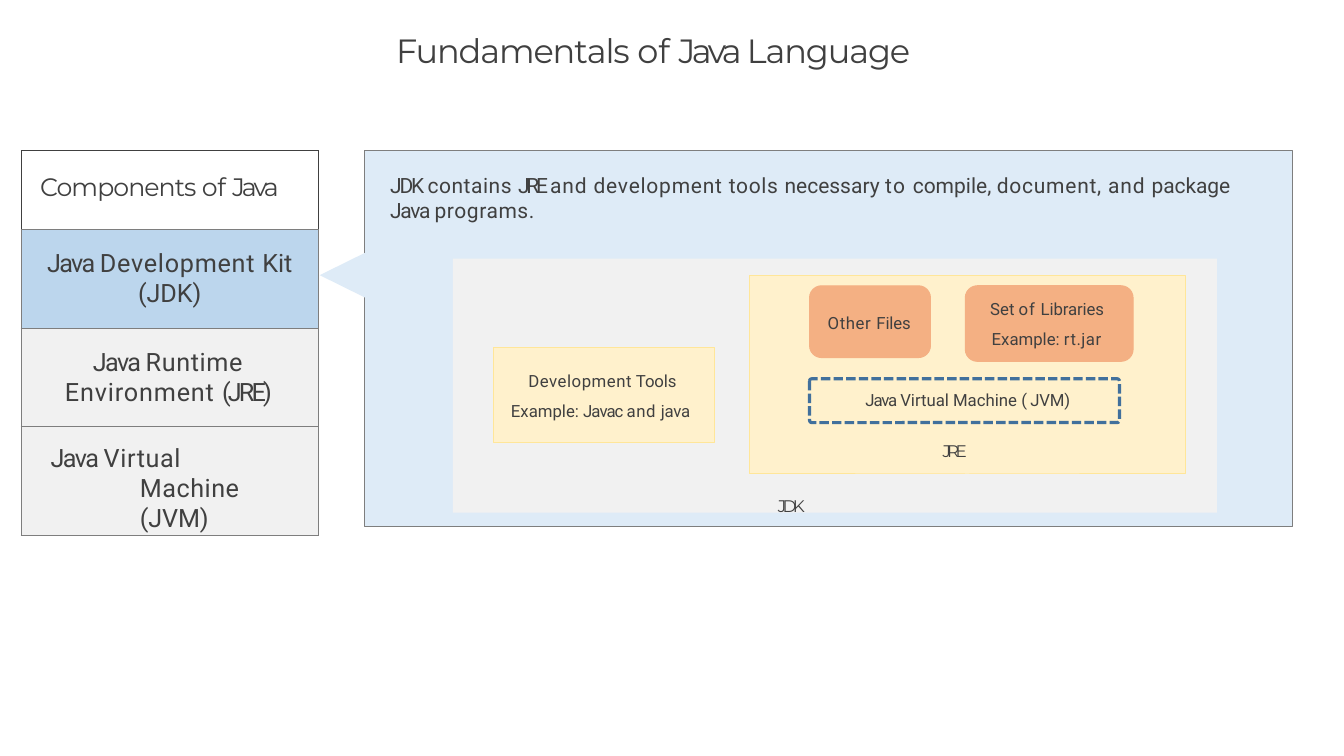
from lxml import etree
from pptx import Presentation
from pptx.dml.color import RGBColor
from pptx.enum.dml import MSO_LINE
from pptx.enum.shapes import MSO_SHAPE as Preset
from pptx.enum.text import MSO_ANCHOR as Anchor, PP_ALIGN as Align
from pptx.oxml.ns import qn
from pptx.util import Inches, Pt

INK = RGBColor(0x40, 0x40, 0x40)
GREY = RGBColor(0x7E, 0x7E, 0x7E)
PALE_GREY = RGBColor(0xF1, 0xF1, 0xF1)
PALE_BLUE = RGBColor(0xDE, 0xEB, 0xF7)
SKY = RGBColor(0xBC, 0xD6, 0xED)
STEEL = RGBColor(0x41, 0x70, 0x9C)
CREAM = RGBColor(0xFF, 0xF1, 0xCC)
YELLOW = RGBColor(0xFF, 0xE6, 0x99)
ORANGE = RGBColor(0xF4, 0xB0, 0x83)

# Table rows: height, top margin, right margin, fill, font, paragraphs
COMPONENTS = [
    (1.05, 0.29, 0, None, "Montserrat",
     [dict(spans=[("Components ", -0.9), ("of ", -0.3), ("Java", -2.8)], left=0.25)]),
    (1.3, 0.24, 0, SKY, "Roboto",
     [dict(spans=[("Java ", -1.6), ("Development ", 0.7), ("Kit", -0.2)],
           align=Align.CENTER, spacing=Pt(28.8)),
      dict(spans=[("(JDK)", -0.1)], align=Align.CENTER, spacing=Pt(28.8))]),
    (1.3, 0.26, 0, PALE_GREY, "Roboto",
     [dict(spans=[("Java ", -1.6), ("Runtime ", 0.6), ("Environment ", 0.8), ("(JRE)", -2.7)],
           left=0.58, first=0.37, spacing=Pt(28.7))]),
    (1.32, 0.24, 0.4, PALE_GREY, "Roboto",
     [dict(spans=[("Java ", -1.5), ("Virtual ", 0.6), ("Machine ", 0.5), ("(JVM)", -0.1)],
           left=1.57, first=-1.18)]),
]


def write_para(para, spans, size, font, left=0, first=0, align=Align.LEFT, spacing=None):
    """Fill a paragraph with (text, letter spacing in points) spans."""
    para.alignment = align
    if spacing:
        para.line_spacing = spacing
    properties = para._p.get_or_add_pPr()
    properties.set("marL", str(Inches(left)))
    properties.set("indent", str(Inches(first)))
    for text, tracking in spans:
        span = para.add_run()
        span.text = text
        span.font.size = Pt(size)
        span.font.name = font
        span.font.color.rgb = INK
        span.font._element.set("spc", str(round(tracking * 100)))


def set_margins(target, top, right=0):
    target.margin_left = target.margin_bottom = 0
    target.margin_top, target.margin_right = Inches(top), Inches(right)


def add_text(page, place, spans, size=16, font="Roboto", **layout):
    box = page.shapes.add_textbox(*map(Inches, place))
    frame = box.text_frame
    frame.word_wrap = True
    set_margins(frame, 0.01)
    write_para(frame.paragraphs[0], spans, size, font, **layout)


def paint(shape, fill=None, line=None, width=0.96):
    shape.shadow.inherit = False
    if fill is None:
        shape.fill.background()
    else:
        shape.fill.solid()
        shape.fill.fore_color.rgb = fill
    if line is None:
        shape.line.fill.background()
    else:
        shape.line.color.rgb = line
        shape.line.width = Pt(width)


def add_panel(page, place, fill=None, line=None, width=0.96, radius=None):
    """Add a rectangle, rounded when a corner radius is given in inches."""
    preset = Preset.RECTANGLE if radius is None else Preset.ROUNDED_RECTANGLE
    shape = page.shapes.add_shape(preset, *map(Inches, place))
    if radius is not None:
        shape.adjustments[0] = radius / min(place[2:])
    paint(shape, fill, line, width)
    return shape


def add_pointer(page):
    builder = page.shapes.build_freeform(Inches(5.06), Inches(3.23))
    builder.add_line_segments(
        [(Inches(4.23), Inches(3.64)), (Inches(5.06), Inches(4.05))], close=True)
    paint(builder.convert_to_shape(), PALE_BLUE)


def add_borders(cell, sides):
    """Put (side, colour, width) lines ahead of the fill in the cell."""
    properties = cell._tc.get_or_add_tcPr()
    for index, (side, color, width) in enumerate(sides):
        line = etree.Element(qn(f"a:ln{side}"), w=str(Pt(width)))
        solid = etree.SubElement(line, qn("a:solidFill"))
        etree.SubElement(solid, qn("a:srgbClr"), val=str(color))
        properties.insert(index, line)


def add_components_table(page):
    heights = [row[0] for row in COMPONENTS]
    table = page.shapes.add_table(
        len(COMPONENTS), 1, Inches(0.28), Inches(1.99), Inches(3.93),
        Inches(sum(heights))).table
    table.first_row = table.horz_banding = False
    for index, (height, top, right, fill, font, paras) in enumerate(COMPONENTS):
        table.rows[index].height = Inches(height)
        cell = table.cell(index, 0)
        set_margins(cell, top, right)
        cell.vertical_anchor = Anchor.TOP
        if fill is None:
            cell.fill.background()
        else:
            cell.fill.solid()
            cell.fill.fore_color.rgb = fill
        outer = (INK, 0.75) if index == 0 else (GREY, 1)
        add_borders(cell, [("L", *outer), ("R", *outer),
                           ("T", *outer), ("B", GREY, 1)])
        frame = cell.text_frame
        for number, content in enumerate(paras):
            para = frame.add_paragraph() if number else frame.paragraphs[0]
            write_para(para, size=24, font=font, **content)


def add_jdk_panel(page):
    # Blue panel and its description
    add_panel(page, (4.82, 1.99, 12.28, 4.98), PALE_BLUE, GREY)
    add_text(page, (5.15, 2.27, 11.21, 0.7), [
        ("JDK ", -2), ("contains ", 0.5), ("JRE ", -3.1), ("and ", 0.8),
        ("development ", 0.7), ("tools ", 0.6), ("necessary ", 0), ("to ", 1.2),
        ("compile, ", 0), ("document, ", 0.7), ("and ", 0.8), ("package ", -0.1),
        ("Java ", -1.2), ("programs.", 0.5)], size=20, left=0.01)

    # JDK area with the development tools
    add_panel(page, (5.99, 3.42, 10.11, 3.36), PALE_GREY)
    tools = add_panel(page, (6.53, 4.6, 2.92, 1.26), CREAM, YELLOW)
    frame = tools.text_frame
    frame.word_wrap = True
    frame.vertical_anchor = Anchor.TOP
    set_margins(frame, 0.17)
    write_para(frame.paragraphs[0], [
        ("Development", 0.5), (" Tools ", -0.1), ("Example: ", 0), ("Javac ", -0.9),
        ("and ", 0.5), ("java", -0.2)], 16, "Roboto", left=0.23, first=0.23, spacing=1.5)

    # JRE area with files, libraries and virtual machine
    add_panel(page, (9.91, 3.65, 5.77, 2.62), CREAM, YELLOW)
    add_panel(page, (10.71, 3.78, 1.6, 0.95), ORANGE, ORANGE, radius=0.16)
    add_text(page, (10.95, 4.12, 1.13, 0.29), [("Other ", 0.6), ("Files", -0.1)])
    add_panel(page, (12.77, 3.78, 2.22, 1), ORANGE, ORANGE, radius=0.16)
    add_text(page, (13.1, 3.81, 1.56, 0.83), [
        ("Set ", 0), ("of ", 0.8), ("Libraries ", -0.1), ("Example: ", 0),
        ("rt.jar", 0.5)], left=0.02, first=-0.02, spacing=1.5)
    machine = add_panel(page, (10.71, 5.01, 4.1, 0.58), None, STEEL, 3, radius=0.03)
    machine.line.dash_style = MSO_LINE.SQUARE_DOT
    add_text(page, (10.74, 5.14, 4.04, 0.29), [
        ("Java ", -1.1), ("Virtual Machine ", 0), ("( ", -0.8), ("JVM)", -0.2)], left=0.71)

    # Area names
    add_text(page, (12.47, 5.82, 0.36, 0.29), [("JRE", -3.6)], font="Montserrat")
    add_text(page, (10.29, 6.55, 0.4, 0.29), [("JDK", -3.4)], font="Montserrat")


def main():
    deck = Presentation()
    deck.slide_width, deck.slide_height = Inches(17.78), Inches(10)
    page = deck.slides.add_slide(deck.slide_layouts[6])
    add_text(page, (3.87, 0.38, 10.04, 0.65), [
        ("Fundamentals ", -1.1), ("of ", -0.1), ("Java ", -3.4), ("Language", -1.1)],
        size=32, font="Montserrat", left=1.37)
    add_jdk_panel(page)
    add_pointer(page)
    add_components_table(page)
    deck.save("out.pptx")


if __name__ == "__main__":
    main()
